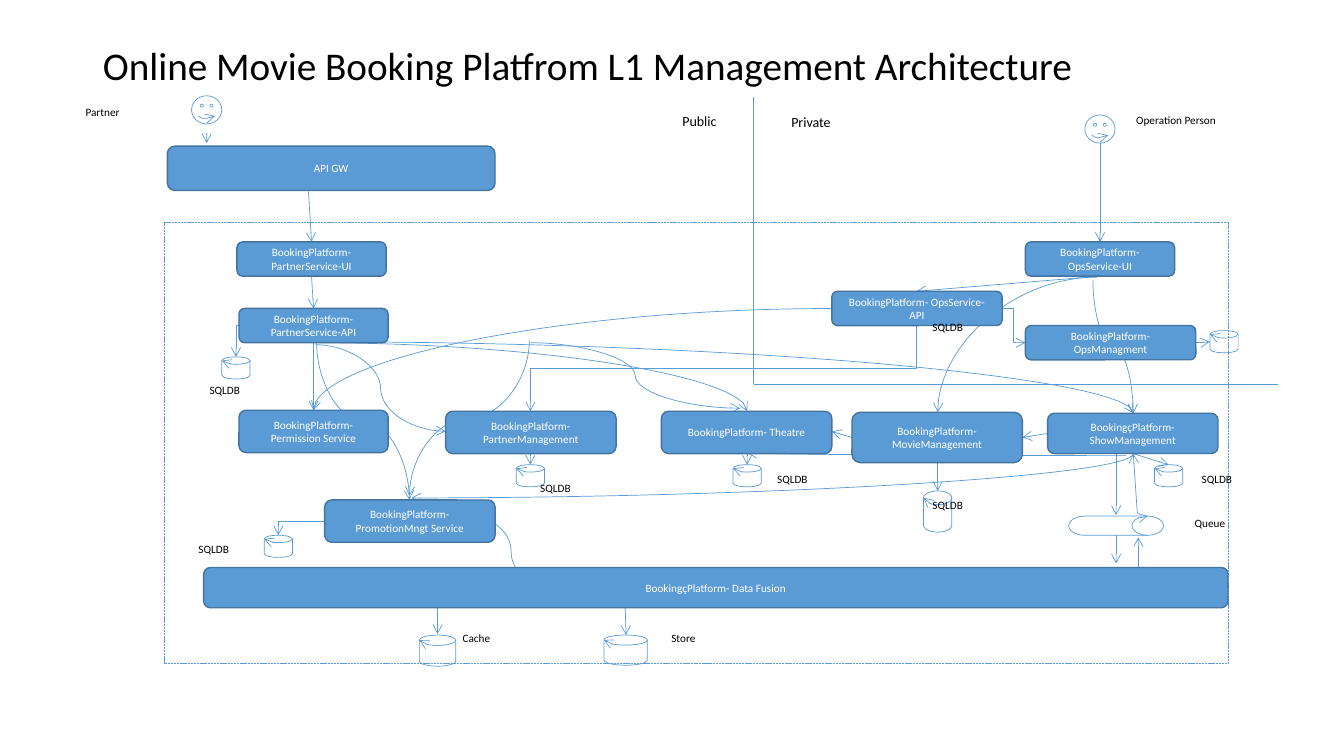
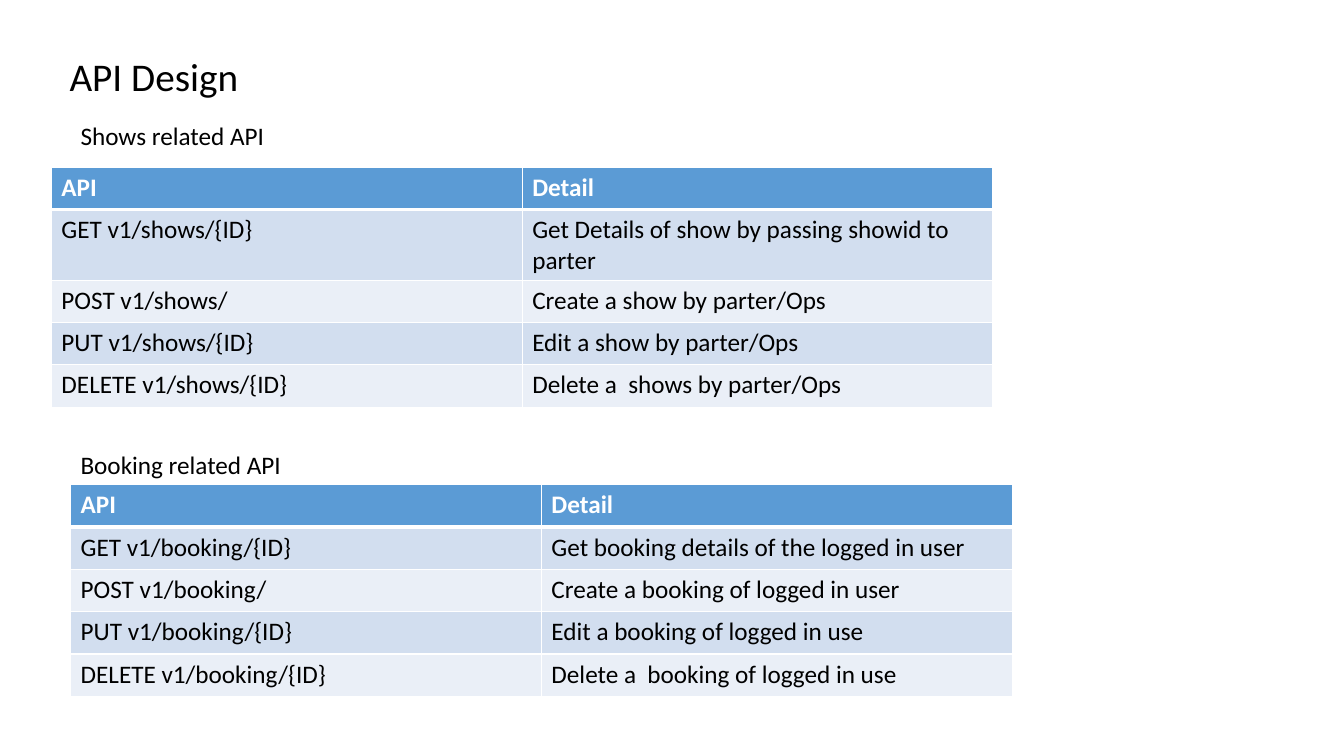
from lxml import etree
from pptx import Presentation
from pptx.dml.color import RGBColor
from pptx.enum.dml import MSO_LINE
from pptx.enum.shapes import MSO_CONNECTOR, MSO_SHAPE
from pptx.enum.text import MSO_ANCHOR, MSO_AUTO_SIZE, PP_ALIGN
from pptx.oxml.ns import qn
from pptx.util import Inches, Pt

COLORS = {
    "blue": "5B9BD5",
    "edge": "43739E",
    "dark_band": "D2DEEF",
    "light_band": "EAEFF7",
    "black": "000000",
    "white": "FFFFFF",
}
FONT = "Calibri"
TITLE_ONLY = 5
ROW_HEIGHT = 0.42
COLUMN_WIDTH = 4.67

SERVICES = [
    ("BookingçPlatform- Data Fusion", 2.02, 5.63, 10.16, 0.4),
    ("BookingPlatform- PartnerService-API", 2.37, 3.06, 1.48, 0.34),
    ("BookingPlatform- PartnerManagement", 4.42, 4.08, 1.69, 0.42),
    ("BookingPlatform- Permission Service", 2.37, 4.07, 1.48, 0.42),
    ("BookingPlatform- Theatre", 6.56, 4.08, 1.69, 0.42),
    ("BookingPlatform- OpsService-API", 8.25, 2.89, 1.69, 0.34),
    ("BookingPlatform- PartnerService-UI", 2.35, 2.4, 1.48, 0.34),
    ("BookingPlatform- OpsService-UI", 10.17, 2.4, 1.48, 0.34),
    ("BookingPlatform- OpsManagment", 10.17, 3.23, 1.69, 0.34),
    ("BookingPlatform- MovieManagement", 8.45, 4.09, 1.69, 0.5),
    ("BookingçPlatform- ShowManagement", 10.39, 4.1, 1.69, 0.4),
    ("BookingPlatform- PromotionMngt Service", 3.22, 4.96, 1.69, 0.42),
    ("API GW", 1.66, 1.45, 3.25, 0.44),
]

ARROWS = [
    ((3.11, 3.19), (3.11, 4.07)), ((3.09, 2.74), (3.11, 3.06)),
    ((10.91, 2.74), (9.09, 2.89)), ((10.39, 4.3), (10.14, 4.34)),
    ((8.45, 4.34), (8.25, 4.28)), ((11.07, 4.48), (11.07, 5.11)),
    ((4.34, 6.01), (4.34, 6.29)), ((6.2, 6.01), (6.21, 6.3)),
    ((11.07, 5.31), (11.07, 5.59)), ((11.29, 5.63), (11.29, 5.33)),
    ((11.28, 5.09), (11.24, 4.5)), ((5.26, 4.49), (5.26, 4.61)),
    ((7.41, 4.5), (7.41, 4.61)), ((9.3, 4.58), (9.3, 4.87)),
    ((11.24, 4.5), (11.59, 4.61)), ((3.06, 1.9), (3.09, 2.4)),
    ((10.91, 1.42), (10.91, 2.4)), ((2.05, 1.32), (2.05, 1.42)),
]

ROUTES = [
    ("curvedConnector3", (3.13, 3.42), (4.42, 4.28), False),
    ("curvedConnector3", (5.26, 3.4), (7.34, 4.05), False),
    ("curvedConnector3", (10.84, 2.78), (11.24, 4.1), True),
    ("curvedConnector3", (3.14, 3.4), (4.06, 4.96), True),
    ("curvedConnector3", (5.25, 3.38), (4.06, 4.92), True),
    ("curvedConnector2", (8.25, 3.06), (3.11, 4.07), False),
    ("curvedConnector2", (3.09, 3.4), (7.41, 4.08), False),
    ("curvedConnector2", (10.88, 2.75), (9.3, 4.09), False),
    ("curvedConnector2", (3.09, 3.39), (11.24, 4.1), False),
    ("curvedConnector2", (11.24, 4.5), (4.08, 4.94), True),
    ("curvedConnector2", (11.17, 4.52), (7.41, 4.49), False),
    ("bentConnector3", (9.09, 3.23), (5.26, 4.08), True),
    ("bentConnector3", (9.94, 3.06), (10.17, 3.4), False),
    ("bentConnector3", (11.86, 3.4), (12, 3.39), False),
    ("bentConnector2", (3.22, 5.17), (2.76, 5.31), False),
    ("bentConnector2", (2.37, 3.23), (2.34, 3.54), False),
]

DISKS = [
    (4.16, 6.3, 0.36, 0.31),
    (5.99, 6.3, 0.43, 0.3),
    (9.16, 4.87, 0.28, 0.41),
] + [
    (left, top, 0.28, 0.22)
    for left, top in [(5.12, 4.61), (7.27, 4.61), (11.45, 4.61),
                      (2.62, 5.31), (12, 3.28), (2.2, 3.54)]
]

DATABASE_LABELS = [
    (1.87, 5.33), (1.98, 3.75), (9.15, 3.13), (5.26, 4.73),
    (7.61, 4.64), (9.15, 4.89), (11.82, 4.64),
]

LABELS = [
    ("Cache", 4.49, 6.21, 1.17, 8),
    ("Store", 6.56, 6.21, 1.18, 8),
    ("Queue", 11.75, 5.07, 0.8, 8),
    ("Partner", 0.75, 1, 0.73, 8),
    ("Operation Person", 11.17, 1.08, 1.69, 8),
    ("Public", 6.67, 1.07, 0.73, 10),
    ("Private", 7.75, 1.08, 0.73, 10),
] + [("SQLDB", left, top, 0.64, 8) for left, top in DATABASE_LABELS]

SHOWS_ROWS = [
    ("API", "Detail"),
    ("GET v1/shows/{ID}", "Get Details of show by passing showid to parter"),
    ("POST v1/shows/", "Create a show by parter/Ops"),
    ("PUT v1/shows/{ID}", "Edit a show by parter/Ops"),
    ("DELETE v1/shows/{ID}", "Delete a  shows by parter/Ops"),
]
BOOKING_ROWS = [
    ("API", "Detail"),
    ("GET v1/booking/{ID}", "Get booking details of the logged in user"),
    ("POST v1/booking/", "Create a booking of logged in user"),
    ("PUT v1/booking/{ID}", "Edit a booking of logged in use"),
    ("DELETE v1/booking/{ID}", "Delete a  booking of logged in use"),
]


def color(name):
    """Return the named palette colour."""
    return RGBColor.from_string(COLORS[name])


def add_run(paragraph, text, size, color_name="black", bold=False):
    """Append one formatted run to a paragraph."""
    run = paragraph.add_run()
    run.text = text
    run.font.name = FONT
    run.font.size = Pt(size)
    run.font.bold = bold
    run.font.color.rgb = color(color_name)


def add_titled_slide(presentation, title, left, top, width, height):
    """Add a title-only slide and format its title."""
    slide = presentation.slides.add_slide(presentation.slide_layouts[TITLE_ONLY])
    shape = slide.shapes.title
    shape.left, shape.top = Inches(left), Inches(top)
    shape.width, shape.height = Inches(width), Inches(height)
    frame = shape.text_frame
    frame.auto_size = MSO_AUTO_SIZE.NONE
    frame.vertical_anchor = MSO_ANCHOR.MIDDLE
    paragraph = frame.paragraphs[0]
    paragraph.alignment = PP_ALIGN.LEFT
    paragraph.line_spacing = 0.9
    add_run(paragraph, title, 28)
    return slide


def add_label(slide, text, left, top, width, size):
    """Add a one-line text label."""
    height = size / 72 * 1.22 + 0.1
    box = slide.shapes.add_textbox(
        Inches(left), Inches(top), Inches(width), Inches(height))
    box.text_frame.word_wrap = True
    add_run(box.text_frame.paragraphs[0], text, size)


def add_service(slide, text, left, top, width, height):
    """Add a filled rounded box with a centred name."""
    shape = slide.shapes.add_shape(
        MSO_SHAPE.ROUNDED_RECTANGLE,
        Inches(left), Inches(top), Inches(width), Inches(height))
    shape.shadow.inherit = False
    shape.fill.solid()
    shape.fill.fore_color.rgb = color("blue")
    shape.line.color.rgb = color("edge")
    shape.line.width = Pt(1)
    frame = shape.text_frame
    frame.word_wrap = True
    frame.vertical_anchor = MSO_ANCHOR.MIDDLE
    paragraph = frame.paragraphs[0]
    paragraph.alignment = PP_ALIGN.CENTER
    add_run(paragraph, text, 8, "white")


def style_line(shape, arrow=True):
    """Give a shape or connector the thin blue line."""
    shape.line.color.rgb = color("blue")
    shape.line.width = Pt(0.5)
    if arrow:
        line = shape.line._get_or_add_ln()
        etree.SubElement(line, qn("a:tailEnd"), type="arrow")


def add_outline(slide, kind, left, top, width, height):
    """Add an unfilled preset shape."""
    shape = slide.shapes.add_shape(
        kind, Inches(left), Inches(top), Inches(width), Inches(height))
    shape.shadow.inherit = False
    shape.fill.background()
    style_line(shape)
    return shape


def add_straight(slide, start, end, arrow=True):
    """Add a straight connector between two points."""
    connector = slide.shapes.add_connector(
        MSO_CONNECTOR.STRAIGHT, *(Inches(value) for value in start + end))
    style_line(connector, arrow)
    etree.SubElement(connector._element.spPr, qn("a:effectLst"))
    return connector


def add_route(slide, preset, start, end, vertical):
    """Add a bent or curved arrow that leaves sideways or downwards."""
    across, down = end[0] - start[0], end[1] - start[1]
    width, height = abs(across), abs(down)
    turn = 180 if across < 0 else 0
    flipped = (across > 0) != (down > 0)
    if vertical:
        width, height, turn, flipped = height, width, 90, across > 0
    connector = add_straight(slide, start, end)
    connector.left = Inches((start[0] + end[0] - width) / 2)
    connector.top = Inches((start[1] + end[1] - height) / 2)
    connector.width, connector.height = Inches(width), Inches(height)
    properties = connector._element.spPr
    frame = properties.find(qn("a:xfrm"))
    frame.set("rot", str(turn * 60000))
    frame.set("flipH", "0")
    frame.set("flipV", str(int(flipped)))
    properties.find(qn("a:prstGeom")).set("prst", preset)
    return connector


def add_bottom_border(cell, width):
    """Draw a white rule below a cell."""
    border = etree.Element(qn("a:lnB"), w=str(Pt(width)))
    fill = etree.SubElement(border, qn("a:solidFill"))
    etree.SubElement(fill, qn("a:srgbClr"), val=COLORS["white"])
    cell._tc.get_or_add_tcPr().insert(0, border)


def add_api_table(slide, rows, left, top):
    """Add a banded table of API calls."""
    table = slide.shapes.add_table(
        len(rows), 2, Inches(left), Inches(top),
        Inches(2 * COLUMN_WIDTH), Inches(ROW_HEIGHT * len(rows))).table
    for row_index, row in enumerate(rows):
        header = row_index == 0
        band = "blue" if header else ("light_band", "dark_band")[row_index % 2]
        for column_index, text in enumerate(row):
            cell = table.cell(row_index, column_index)
            cell.fill.solid()
            cell.fill.fore_color.rgb = color(band)
            add_bottom_border(cell, 3 if header else 1)
            add_run(cell.text_frame.paragraphs[0], text, 18,
                    "white" if header else "black", header)


def build_architecture(presentation):
    """Build the management architecture diagram."""
    slide = add_titled_slide(
        presentation, "Online Movie Booking Platfrom L1 Management Architecture",
        0.92, 0.4, 11.5, 0.55)
    boundary = add_outline(slide, MSO_SHAPE.RECTANGLE, 1.63, 2.21, 10.55, 4.37)
    boundary.line.dash_style = MSO_LINE.SQUARE_DOT
    for start, end in ARROWS:
        add_straight(slide, start, end)
    for route in ROUTES:
        add_route(slide, *route)
    fusion_link = add_route(
        slide, "curvedConnector3", (4.64, 5.11), (5.5, 5.84), False)
    tail = fusion_link.line._get_or_add_ln().find(qn("a:tailEnd"))
    tail.addprevious(etree.Element(qn("a:headEnd"), type="arrow"))
    add_straight(slide, (7.47, 0.96), (7.47, 3.81), arrow=False)
    add_straight(slide, (7.48, 3.81), (12.68, 3.81), arrow=False)
    for service in SERVICES:
        add_service(slide, *service)
    for disk in DISKS:
        add_outline(slide, MSO_SHAPE.FLOWCHART_MAGNETIC_DISK, *disk)
    add_outline(slide, MSO_SHAPE.FLOWCHART_DIRECT_ACCESS_STORAGE,
                10.6, 5.12, 0.94, 0.19)
    for left, top in [(1.9, 0.95), (10.76, 1.14)]:
        add_outline(slide, MSO_SHAPE.SMILEY_FACE, left, top, 0.3, 0.28)
    for label in LABELS:
        add_label(slide, *label)


def build_api_design(presentation):
    """Build the slide with the two API tables."""
    slide = add_titled_slide(presentation, "API Design", 0.59, 0.5, 2.12, 0.57)
    add_label(slide, "Shows related API", 0.7, 1.14, 4.61, 18)
    add_api_table(slide, SHOWS_ROWS, 0.51, 1.66)
    add_label(slide, "Booking related API", 0.7, 4.41, 2.42, 18)
    add_api_table(slide, BOOKING_ROWS, 0.7, 4.81)


def main():
    """Build and save the presentation."""
    presentation = Presentation()
    presentation.slide_width = Inches(13.33)
    presentation.slide_height = Inches(7.5)
    build_architecture(presentation)
    build_api_design(presentation)
    presentation.save("out.pptx")


if __name__ == "__main__":
    main()
